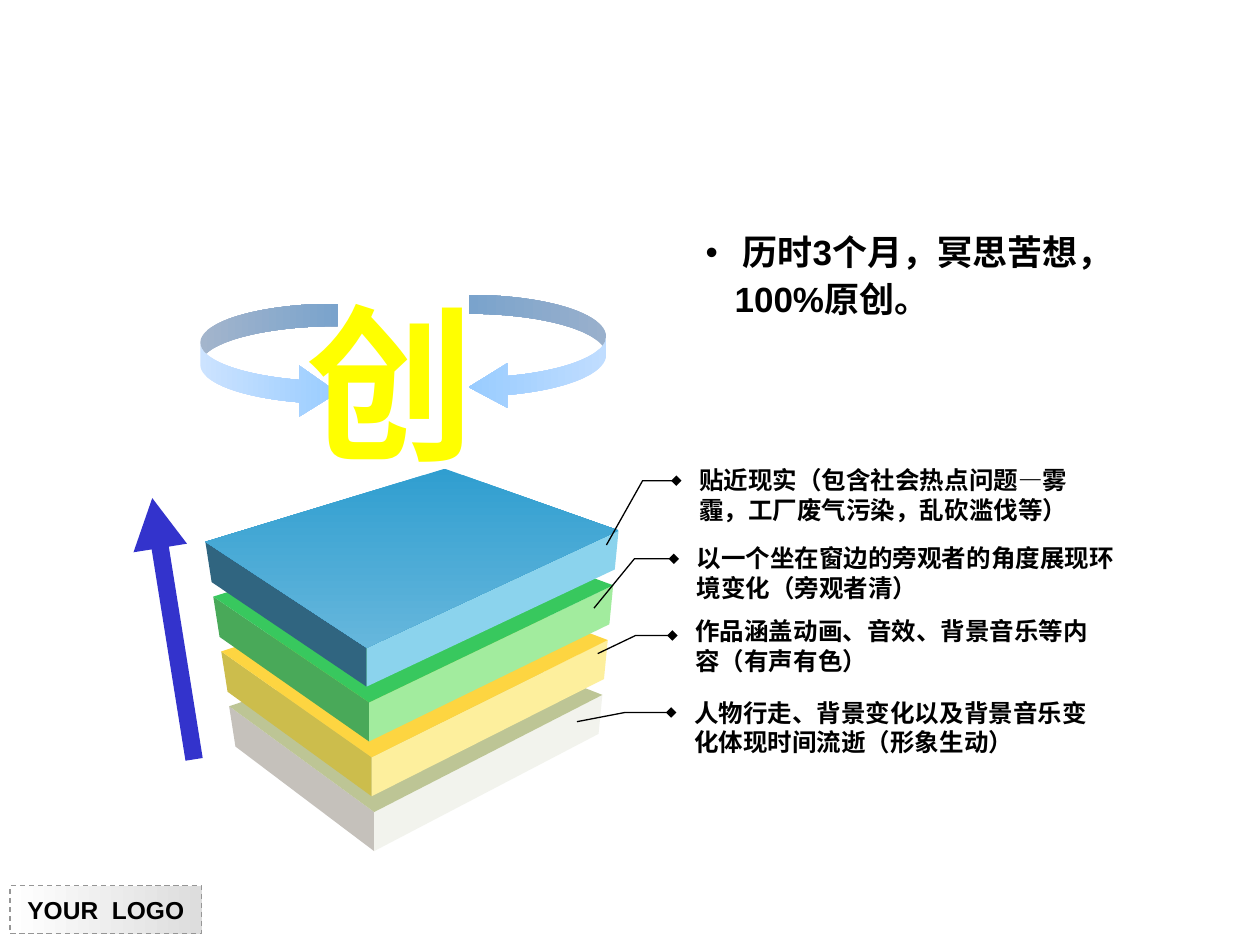
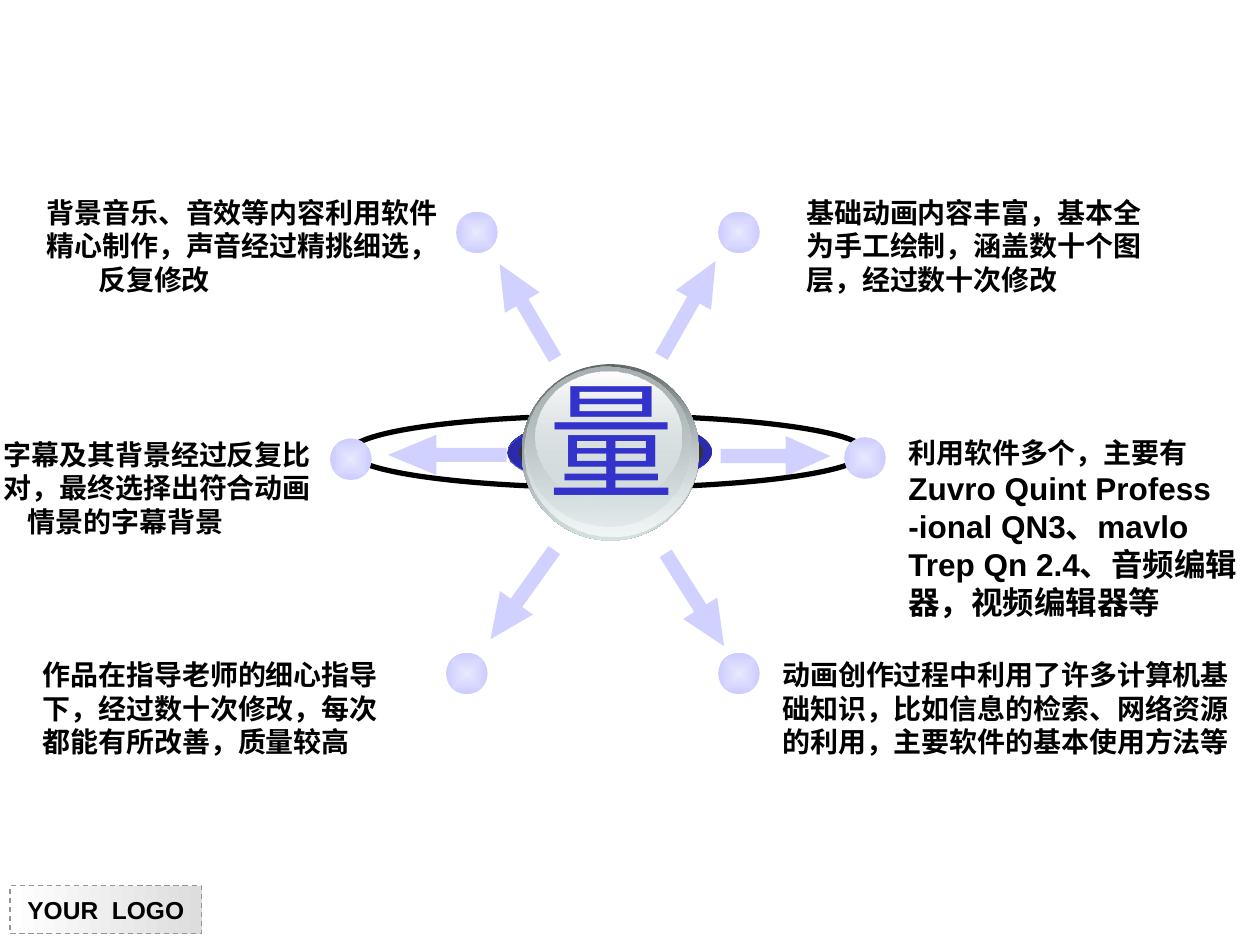
from dataclasses import dataclass

from pptx import Presentation
from pptx.dml.color import RGBColor
from pptx.enum import dml, shapes, text
from pptx.oxml import parse_xml
from pptx.oxml.ns import nsdecls, qn
from pptx.util import Inches, Pt

PRESET = shapes.MSO_SHAPE
ANCHOR = text.MSO_ANCHOR
ALIGN = text.PP_ALIGN


@dataclass(frozen=True)
class Theme:
    font: str = "Arial"
    ink: str = "000000"
    blue: str = "3333CC"
    yellow: str = "FFFF00"
    sky: str = "99CCFF"
    lilac: str = "CCCCFF"
    pale_lilac: str = "E8E8FF"
    glass: str = "D6E1E2"
    grey: str = "969696"
    white: str = "FFFFFF"
    note: int = 14
    label: int = 16
    label_large: int = 18
    lead: int = 20
    hub: int = 72
    hero: int = 96


THEME = Theme()


@dataclass(frozen=True)
class Gradient:
    stops: tuple
    angle: float = 0
    radial: bool = False


def color_xml(color):
    value, opacity = (color, 100) if isinstance(color, str) else color
    alpha = f'<a:alpha val="{opacity * 1000}"/>' if opacity < 100 else ""
    return f'<a:srgbClr val="{value}">{alpha}</a:srgbClr>'


def fill_xml(fill):
    if not isinstance(fill, Gradient):
        return f'<a:solidFill {nsdecls("a")}>{color_xml(fill)}</a:solidFill>'
    step = 100000 // (len(fill.stops) - 1)
    stops = "".join(f'<a:gs pos="{index * step}">{color_xml(color)}</a:gs>'
                    for index, color in enumerate(fill.stops))
    if fill.radial:
        course = ('<a:path path="shape"><a:fillToRect l="50000" t="50000" '
                  'r="50000" b="50000"/></a:path>')
    else:
        course = f'<a:lin ang="{int(fill.angle * 60000)}" scaled="0"/>'
    return f'<a:gradFill {nsdecls("a")}><a:gsLst>{stops}</a:gsLst>{course}</a:gradFill>'


def paint(shape, fill=None, line=None, width=0.75):
    shape.shadow.inherit = False
    if fill is None:
        shape.fill.background()
    else:
        shape.fill.solid()
        solid = shape.element.spPr.find(qn("a:solidFill"))
        solid.getparent().replace(solid, parse_xml(fill_xml(fill)))
    if line is None:
        shape.line.fill.background()
    else:
        shape.line.color.rgb = RGBColor.from_string(line)
        shape.line.width = Pt(width)
    return shape


def add_preset(page, preset, at, fill=None, line=None, width=0.75, adjust=(), rotation=0):
    shape = page.shapes.add_shape(preset, *map(Inches, at))
    for index, value in enumerate(adjust):
        shape.adjustments[index] = value
    shape.rotation = rotation
    return paint(shape, fill, line, width)


def add_face(page, points, fill):
    corners = [(Inches(x), Inches(y)) for x, y in points]
    outline = page.shapes.build_freeform(*corners[0])
    outline.add_line_segments(corners[1:], close=True)
    return paint(outline.convert_to_shape(), fill)


def write(box, content, size=THEME.note, color=THEME.ink, bold=True, align=ALIGN.LEFT,
          anchor=ANCHOR.TOP, wrap=True, inset=None, spacing=1.0):
    frame = box.text_frame
    frame.word_wrap = wrap
    frame.auto_size = text.MSO_AUTO_SIZE.NONE
    frame.vertical_anchor = anchor
    if inset is not None:
        frame.margin_left = frame.margin_right = Inches(inset)
        frame.margin_top = frame.margin_bottom = Inches(inset)
    frame.text = content
    for para in frame.paragraphs:
        para.alignment = align
        para.line_spacing = spacing
        para.space_before = para.space_after = Pt(0)
        for span in para.runs:
            span.font.name = THEME.font
            span.font.size = Pt(size)
            span.font.bold = bold
            span.font.color.rgb = RGBColor.from_string(color)
    return frame


def place(box, at):
    box.left, box.top, box.width, box.height = map(Inches, at)


def add_title(page, content, at, **style):
    title = page.shapes.title
    place(title, at)
    write(title, content, wrap=False, **style)
    title.element.getparent().append(title.element)


def add_bullet(page, content, at):
    body = page.placeholders[1]
    place(body, at)
    frame = write(body, content, size=THEME.lead, spacing=1.1)
    properties = frame.paragraphs[0]._p.get_or_add_pPr()
    properties.set("marL", str(Inches(0.23)))
    properties.set("indent", str(-Inches(0.23)))
    properties.append(parse_xml(f'<a:buChar {nsdecls("a")} char="•"/>'))


def add_label(page, content, at, last_indent=0):
    box = page.shapes.add_textbox(*map(Inches, at))
    frame = write(box, content, size=THEME.label, inset=0)
    if last_indent:
        frame.paragraphs[-1]._p.get_or_add_pPr().set("marL", str(Inches(last_indent)))
    return frame


def add_callout(page, content, at, adjust):
    callout = add_preset(page, PRESET.LINE_CALLOUT_2_NO_BORDER, at,
                         line=THEME.ink, adjust=adjust)
    callout.line._get_or_add_ln().append(
        parse_xml(f'<a:headEnd {nsdecls("a")} type="diamond"/>'))
    write(callout, content, anchor=ANCHOR.MIDDLE)


def add_slab(page, level, left_fill, right_fill, top_fill):
    drop = 0.435 * level
    back = (3.53, 3.72 + drop)
    left, left_base = ((1.63 + 0.063 * level, y + drop) for y in (4.3, 4.62))
    left_base = (left_base[0] + 0.05, left_base[1])
    front, front_base = ((2.91 + 0.02 * level, y + drop) for y in (5.14, 5.45))
    right = (4.91 - 0.043 * level, 4.21 + drop)
    right_base = (right[0] - 0.03, right[1] + 0.31)
    add_face(page, (left_base, front_base, front, left), left_fill)
    add_face(page, (front, right, right_base, front_base), right_fill)
    add_face(page, (front, left, back, right), top_fill)


def add_master_badge(deck, page):
    badge = add_preset(page, PRESET.RECTANGLE, (0.08, 7.03, 1.52, 0.38),
                       Gradient((THEME.white, "DDDDDD")), THEME.grey)
    badge.line.dash_style = dml.MSO_LINE.DASH
    write(badge, "YOUR  LOGO", align=ALIGN.CENTER, anchor=ANCHOR.MIDDLE, wrap=False)
    deck.slide_master.shapes.element.append(badge.element)


def build_originality(deck):
    page = deck.slides.add_slide(deck.slide_layouts[1])
    right_loop = add_preset(page, PRESET.CURVED_RIGHT_ARROW, (3.72, 2.34, 1.09, 0.91),
                            Gradient(("C0DDFF", THEME.sky)), adjust=(0.165, 0.39, 0.338))
    right_loop.element.spPr.xfrm.set("flipH", "1")
    add_preset(page, PRESET.CURVED_RIGHT_ARROW, (1.59, 2.41, 1.09, 0.91),
               Gradient(("CCE3FF", THEME.sky)), adjust=(0.196, 0.447, 0.337))

    slabs = (
        ("306580", "8BD3ED", Gradient(("309ED0", "66B7DC"), 90)),
        ("49A959", "A2EC9E", "38C85E"),
        ("CCBD4C", "FDEF9D", "FDD541"),
        ("C5C1BB", "F2F3ED", "BDC595"),
    )
    for level, fills in reversed(list(enumerate(slabs))):
        add_slab(page, level, *fills)

    callouts = (
        ("贴近现实（包含社会热点问题—雾霾，工厂废气污染，乱砍滥伐等）",
         (5.45, 3.69, 3.3, 0.47), (0.267, -0.025, 0.267, -0.106, 1.352, -0.193)),
        ("以一个坐在窗边的旁观者的角度展现环境变化（旁观者清）",
         (5.43, 4.31, 3.56, 0.47), (0.268, -0.023, 0.268, -0.111, 1.1, -0.201)),
        ("作品涵盖动画、音效、背景音乐等内容（有声有色）",
         (5.42, 4.92, 3.35, 0.41), (0.301, -0.025, 0.301, -0.112, 0.653, -0.202)),
        ("人物行走、背景变化以及背景音乐变化体现时间流逝（形象生动）",
         (5.41, 5.53, 3.35, 0.48), (0.26, -0.025, 0.26, -0.134, 0.412, -0.248)),
    )
    for callout in callouts:
        add_callout(page, *callout)

    add_preset(page, PRESET.UP_ARROW, (1.16, 3.94, 0.43, 2.1), THEME.blue,
               adjust=(0.322, 0.934), rotation=350.9)
    add_bullet(page, " 历时3个月，冥思苦想，100%原创。", (5.5, 1.75, 4.12, 0.83))
    add_title(page, "创", (2.33, 2.17, 1.54, 1.7), size=THEME.hero, color=THEME.yellow)
    return page


def add_globe(page):
    glass = THEME.glass
    layers = (
        ((4.16, 3.33, 0.2, 0.53), Gradient((THEME.white, THEME.blue, THEME.white), 45)),
        ((4.16, 3.32, 0.2, 0.53), Gradient(((THEME.blue, 32), (THEME.ink, 90)), 45)),
        ((4.03, 3.32, 1.62, 0.53), Gradient(("27279C", THEME.blue, "27279C"), 315)),
        ((4.03, 3.33, 1.62, 0.53), Gradient(("2A2AA7", (THEME.blue, 0)), 45)),
        ((4.12, 3.33, 1.46, 0.53), "333333"),
        ((4.14, 2.89, 1.41, 1.4), Gradient(("636869", glass), 90)),
        ((4.16, 2.9, 1.38, 1.36), Gradient(((glass, 0), "F1F5F5"), 90)),
        ((4.17, 2.91, 1.31, 1.27), Gradient(("AAB2B3", (glass, 48)), 90)),
        ((4.25, 2.95, 1.16, 1.03), Gradient((THEME.white, (glass, 38)), 90)),
    )
    for at, fill in layers:
        add_preset(page, PRESET.OVAL, at, fill)


def build_workload(deck):
    page = deck.slides.add_slide(deck.slide_layouts[5])
    arrows = (
        (5.03, 2.29, 0.87, 299.6), (5.08, 4.6, 0.87, 57.8),
        (3.75, 2.31, 0.87, 239.5), (3.71, 4.56, 0.87, 125.6),
        (5.72, 3.46, 0.87, 0), (3.08, 3.45, 0.94, 180),
    )
    for left, top, length, rotation in arrows:
        add_preset(page, PRESET.RIGHT_ARROW, (left, top, length, 0.32), (THEME.lilac, 90),
                   adjust=(0.352, 1.11 * length / 0.87), rotation=rotation)
    add_preset(page, PRESET.OVAL, (2.78, 3.3, 4.09, 0.57), line=THEME.ink, width=3)

    labels = (
        ("基础动画内容丰富，基本全\n为手工绘制，涵盖数十个图\n层，经过数十次修改",
         (6.4, 1.55, 2.9, 0.8), 0),
        ("背景音乐、音效等内容利用软件\n精心制作，声音经过精挑细选，\n反复修改",
         (0.37, 1.55, 3.25, 0.8), 0.41),
        ("动画创作过程中利用了许多计算机基\n础知识，比如信息的检索、网络资源\n"
         "的利用，主要软件的基本使用方法等", (6.21, 5.22, 3.7, 0.8), 0),
        ("字幕及其背景经过反复比\n对，最终选择出符合动画\n情景的字幕背景",
         (0.03, 3.47, 2.55, 0.8), 0.19),
        ("作品在指导老师的细心指导\n下，经过数十次修改，每次\n都能有所改善，质量较高",
         (0.34, 5.22, 2.8, 0.8), 0),
    )
    for label in labels:
        add_label(page, *label)
    tools = add_label(page, "利用软件多个，主要有\nZuvro Quint Profess\n-ional QN3、mavlo\n"
                      "Trep Qn 2.4、音频编辑\n器，视频编辑器等", (7.21, 3.46, 2.69, 1.47))
    for para in tools.paragraphs[1:]:
        for span in para.runs:
            span.font.size = Pt(THEME.label_large)

    bead = Gradient((THEME.pale_lilac, THEME.lilac), radial=True)
    for left, top in ((2.62, 3.48), (3.62, 1.68), (5.7, 1.68),
                      (3.54, 5.18), (5.7, 5.18), (6.7, 3.47)):
        add_preset(page, PRESET.OVAL, (left, top, 0.33, 0.33), bead)
    add_globe(page)
    add_title(page, "量", (4.25, 2.83, 1.2, 1.3), size=THEME.hub, color=THEME.blue, bold=False)
    return page


def main():
    deck = Presentation()
    deck.slide_width, deck.slide_height = Inches(10), Inches(7.5)
    build_originality(deck)
    page = build_workload(deck)
    add_master_badge(deck, page)
    deck.save("out.pptx")


if __name__ == "__main__":
    main()
